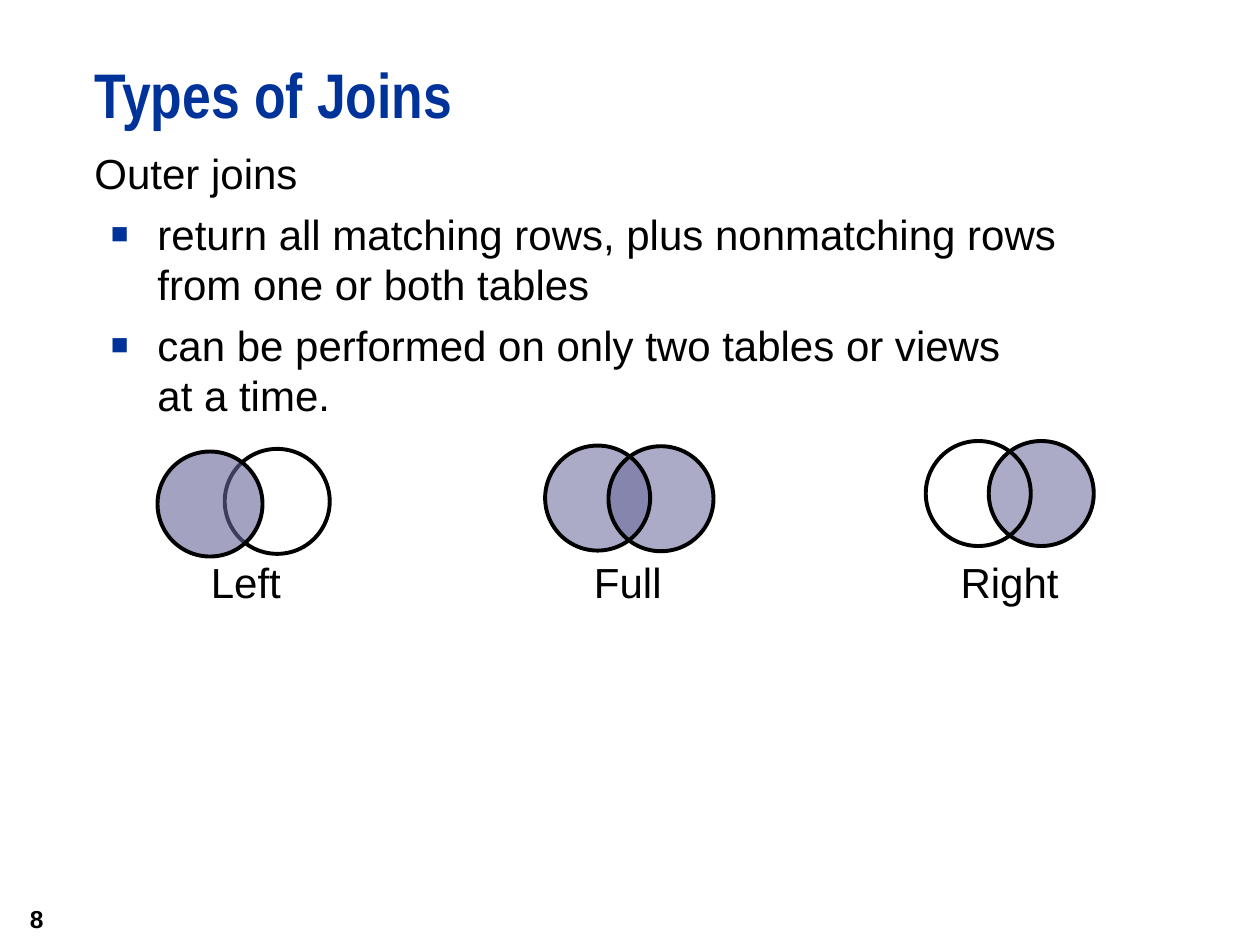
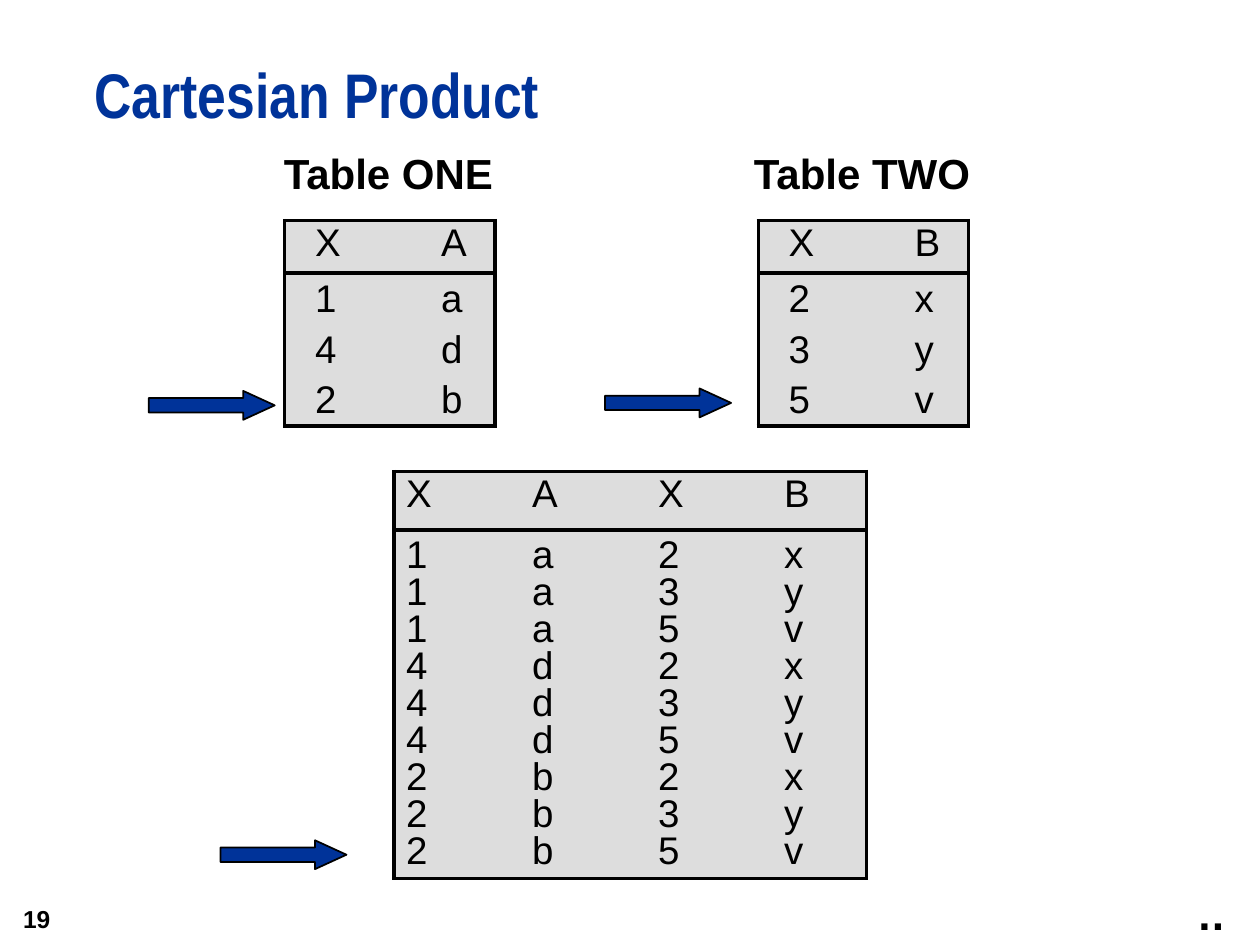
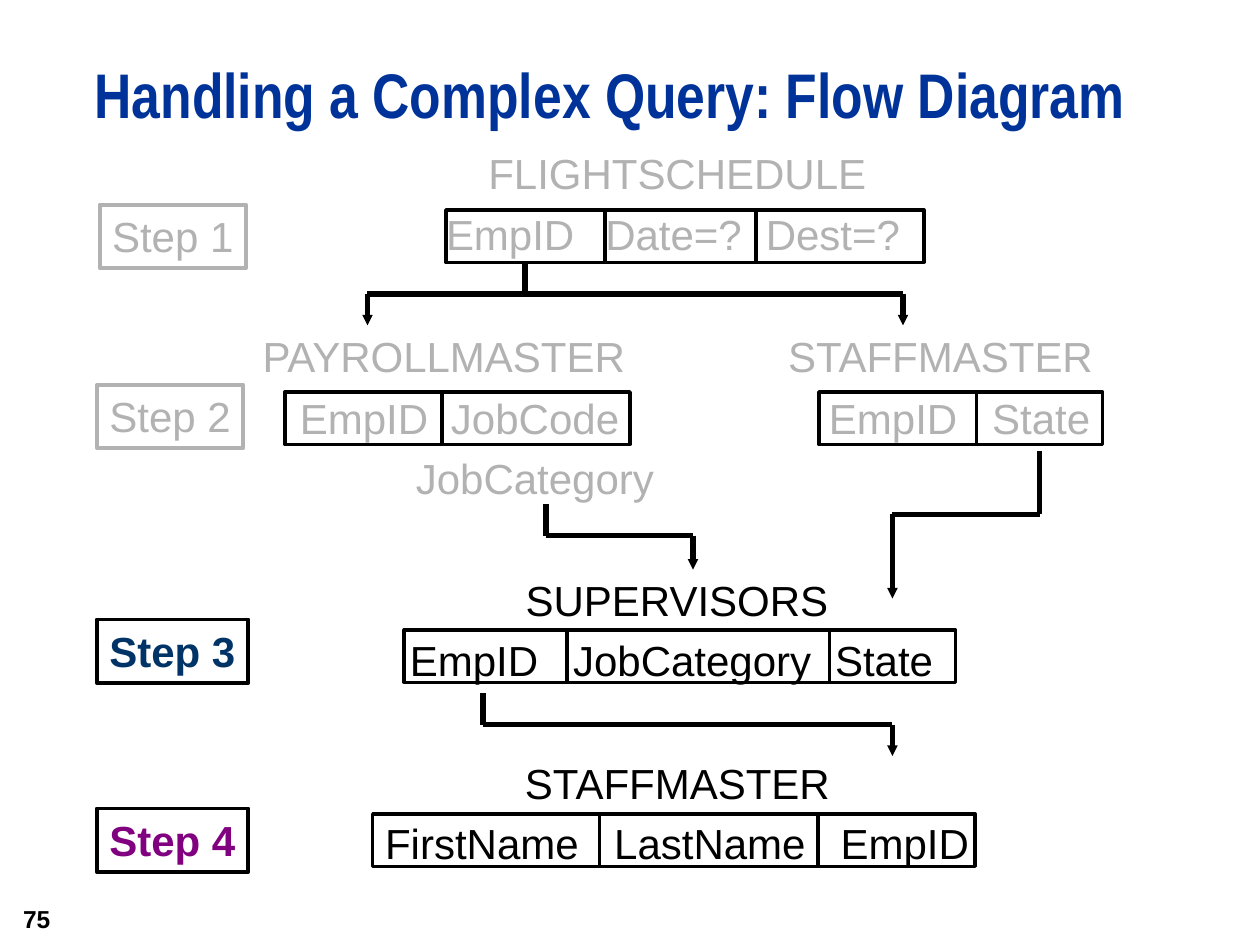
from dataclasses import dataclass
from itertools import accumulate, pairwise

from lxml.etree import SubElement
from pptx import Presentation
from pptx.dml.color import RGBColor
from pptx.enum.shapes import MSO_CONNECTOR, MSO_SHAPE
from pptx.enum.text import MSO_ANCHOR, PP_ALIGN
from pptx.oxml.ns import qn
from pptx.shapes.autoshape import Shape
from pptx.shapes.connector import Connector
from pptx.slide import Slide
from pptx.table import _Cell
from pptx.text.text import TextFrame, _Paragraph
from pptx.util import Pt


@dataclass(frozen=True)
class Theme:
    blue: str = "003399"
    black: str = "000000"
    white: str = "FFFFFF"
    muted: str = "B2B2B2"
    navy: str = "003366"
    purple: str = "800080"
    violet: str = "666699"
    panel: str = "DDDDDD"
    font: str = "Arial"
    title_font: str = "Arial Narrow"
    dots_font: str = "DejaVu Sans"
    title_size: float = 36
    body_size: float = 24
    table_size: float = 22
    dots_size: float = 20
    number_size: float = 14
    outline: float = 2.25
    field_outline: float = 2
    flow_outline: float = 3
    arrow_outline: float = 1


THEME = Theme()
LEFT = 54
BODY_TOP = 84.2
LINE_PITCH = 34.86
DISC_SIZE = 60
FIELD_HEIGHT = 30
HEADER_LIFT = 4
NO_INSETS = (0, 0, 0, 0)
BOX_INSETS = (7.2, 3.6, 7.2, 3.6)


@dataclass(frozen=True)
class Font:
    size: float = THEME.body_size
    color: str = THEME.black
    bold: bool = False
    name: str = THEME.font


@dataclass(frozen=True)
class Label:
    text: str
    x: float
    y: float
    font: Font = Font()


@dataclass(frozen=True)
class Disc:
    x: float
    y: float
    fill: str | None = None
    opacity: int = 100
    outlined: bool = True


@dataclass(frozen=True)
class Grid:
    x: float
    y: float
    rows: tuple[str, ...]
    last_width: float
    inset: float
    header_height: float
    row_height: float
    lead: float = 0
    trail: float = 0
    spacing: float = 1.0
    column_width: float = 72


@dataclass(frozen=True)
class Field:
    text: str
    width: float
    inset: float


@dataclass(frozen=True)
class Record:
    x: float
    y: float
    color: str
    fields: tuple[Field, ...]
    drop: float = 0
    lift: float = 0


@dataclass(frozen=True)
class Step:
    text: str
    x: float
    y: float
    width: float
    font: Font
    line: str


@dataclass(frozen=True)
class Flow:
    points: tuple[tuple[float, float], ...]
    arrow: bool = True


MUTED = Font(color=THEME.muted)
BOLD = Font(bold=True)
TABLE_FONT = Font(THEME.table_size)


def line_top(row: int) -> float:
    return BODY_TOP + LINE_PITCH * row


def style(p: _Paragraph, font: Font) -> None:
    for r in p.runs:
        r.font.size = Pt(font.size)
        r.font.name = font.name
        r.font.bold = font.bold
        r.font.color.rgb = RGBColor.from_string(font.color)


def set_text(tf: TextFrame, text: str, font: Font, insets=NO_INSETS, wrap: bool = True,
             anchor=MSO_ANCHOR.TOP, align=PP_ALIGN.LEFT) -> None:
    tf.text = text
    tf.word_wrap = wrap
    tf.vertical_anchor = anchor
    tf.margin_left, tf.margin_top, tf.margin_right, tf.margin_bottom = map(Pt, insets)
    for p in tf.paragraphs:
        p.alignment = align
        style(p, font)


def add_text(s: Slide, text: str, x: float, y: float, w: float, h: float, font: Font,
             **options) -> TextFrame:
    tf = s.shapes.add_textbox(Pt(x), Pt(y), Pt(w), Pt(h)).text_frame
    set_text(tf, text, font, **options)
    return tf


def add_label(s: Slide, label: Label) -> None:
    add_text(s, label.text, label.x, label.y, 240, 29, label.font)


def add_box(s: Slide, kind: MSO_SHAPE, x: float, y: float, w: float, h: float,
            fill: str | None, line: str | None = THEME.black,
            width: float = THEME.outline) -> Shape:
    sp = s.shapes.add_shape(kind, Pt(x), Pt(y), Pt(w), Pt(h))
    sp.shadow.inherit = False
    if fill:
        sp.fill.solid()
        sp.fill.fore_color.rgb = RGBColor.from_string(fill)
    else:
        sp.fill.background()
    if line:
        sp.line.color.rgb = RGBColor.from_string(line)
        sp.line.width = Pt(width)
    else:
        sp.line.fill.background()
    return sp


def add_line(s: Slide, start: tuple[float, float], end: tuple[float, float],
             width: float) -> Connector:
    line = s.shapes.add_connector(MSO_CONNECTOR.STRAIGHT, *map(Pt, start + end))
    line.line.color.rgb = RGBColor.from_string(THEME.black)
    line.line.width = Pt(width)
    SubElement(line._element.spPr, qn("a:effectLst"))
    return line


def add_disc(s: Slide, disc: Disc) -> None:
    sp = add_box(s, MSO_SHAPE.OVAL, disc.x, disc.y, DISC_SIZE, DISC_SIZE, disc.fill,
                 THEME.black if disc.outlined else None)
    if disc.opacity < 100:
        color = sp._element.spPr.find(qn("a:solidFill"))[0]
        SubElement(color, qn("a:alpha"), val=str(disc.opacity * 1000))


def add_bullet(p: _Paragraph) -> None:
    pPr = p._p.get_or_add_pPr()
    pPr.set("marL", str(Pt(36)))
    pPr.set("indent", str(Pt(-26.64)))
    SubElement(SubElement(pPr, qn("a:buClr")), qn("a:srgbClr"), val=THEME.blue)
    SubElement(pPr, qn("a:buSzPct"), val="70000")
    SubElement(pPr, qn("a:buFont"), typeface=THEME.font)
    SubElement(pPr, qn("a:buChar"), char="■")


def set_borders(cell: _Cell, sides: dict[str, bool]) -> None:
    tcPr = cell._tc.get_or_add_tcPr()
    for side, shown in sides.items():
        ln = SubElement(tcPr, qn(f"a:ln{side}"), w=str(Pt(THEME.outline)))
        if shown:
            SubElement(SubElement(ln, qn("a:solidFill")), qn("a:srgbClr"), val=THEME.black)
        else:
            SubElement(ln, qn("a:noFill"))


def add_grid(s: Slide, grid: Grid) -> None:
    rows = [row.split() for row in grid.rows]
    last_row, last_col = len(rows) - 1, len(rows[0]) - 1
    widths = [grid.column_width] * last_col + [grid.last_width]
    heights = [grid.header_height] + [grid.row_height] * last_row
    heights[1] += grid.lead
    heights[-1] += grid.trail
    table = s.shapes.add_table(len(rows), len(widths), Pt(grid.x), Pt(grid.y),
                               Pt(sum(widths)), Pt(sum(heights))).table
    table.first_row = table.horz_banding = False
    for column, width in zip(table.columns, widths):
        column.width = Pt(width)
    tops = {1: grid.lead}
    bottoms = {0: HEADER_LIFT, last_row: grid.trail}
    for i, row in enumerate(rows):
        table.rows[i].height = Pt(heights[i])
        for j, value in enumerate(row):
            cell = table.cell(i, j)
            set_borders(cell, {"L": j == 0, "R": j == last_col,
                               "T": i == 0, "B": i == last_row})
            cell.fill.solid()
            cell.fill.fore_color.rgb = RGBColor.from_string(THEME.panel)
            cell.vertical_anchor = MSO_ANCHOR.MIDDLE
            cell.margin_left = Pt(grid.inset)
            cell.margin_right = 0
            cell.margin_top = Pt(tops.get(i, 0))
            cell.margin_bottom = Pt(bottoms.get(i, 0))
            p = cell.text_frame.paragraphs[0]
            p.text = value
            p.line_spacing = grid.spacing
            style(p, TABLE_FONT)
    rule = grid.y + grid.header_height
    add_line(s, (grid.x, rule), (grid.x + sum(widths), rule), THEME.outline)


def add_pointer(s: Slide, x: float, y: float) -> None:
    sp = add_box(s, MSO_SHAPE.RIGHT_ARROW, x, y, 72, 16.5, THEME.blue,
                 width=THEME.arrow_outline)
    sp.adjustments[1] = 1.09


def add_record(s: Slide, record: Record) -> None:
    lefts = accumulate((f.width for f in record.fields), initial=record.x)
    for x, field in zip(lefts, record.fields):
        sp = add_box(s, MSO_SHAPE.RECTANGLE, x, record.y, field.width, FIELD_HEIGHT,
                     THEME.white, width=THEME.field_outline)
        set_text(sp.text_frame, field.text, Font(color=record.color),
                 insets=(field.inset, record.drop, 0, record.lift),
                 anchor=MSO_ANCHOR.MIDDLE)


def add_step(s: Slide, step: Step) -> None:
    sp = add_box(s, MSO_SHAPE.RECTANGLE, step.x, step.y, step.width, 36.3,
                 THEME.white, step.line)
    set_text(sp.text_frame, step.text, step.font, insets=BOX_INSETS, wrap=False)


def add_flow(s: Slide, flow: Flow) -> None:
    for start, end in pairwise(flow.points):
        line = add_line(s, start, end, THEME.flow_outline)
        if flow.arrow and end == flow.points[-1]:
            ln = line._element.spPr.find(qn("a:ln"))
            SubElement(ln, qn("a:tailEnd"), type="triangle", w="sm", len="sm")


def new_slide(prs, title: str, number: int) -> Slide:
    s = prs.slides.add_slide(prs.slide_layouts[6])
    tf = add_text(s, title, LEFT, 36, 666, 54,
                  Font(THEME.title_size, THEME.blue, True, THEME.title_font))
    tf.paragraphs[0].line_spacing = Pt(39)
    add_text(s, str(number), 0, 510, 42, 30, Font(THEME.number_size, bold=True),
             insets=BOX_INSETS, anchor=MSO_ANCHOR.MIDDLE, align=PP_ALIGN.CENTER)
    return s


def build_joins(prs) -> None:
    s = new_slide(prs, "Types of Joins", 8)
    tf = add_text(s, "Outer joins", LEFT, BODY_TOP, 618, 336, Font())
    tf.paragraphs[0].space_before = Pt(6)
    for text in ("return all matching rows, plus nonmatching rows\vfrom one or both tables",
                 "can be performed on only two tables or views\vat a time."):
        p = tf.add_paragraph()
        p.text = text
        p.space_before = Pt(6)
        style(p, Font())
        add_bullet(p)
    for disc in (
        Disc(128.4, 256.5, THEME.white),
        Disc(90, 258, THEME.violet, 60, False),
        Disc(90, 258),
        Disc(311.5, 254.6, THEME.violet, 55, False),
        Disc(347.7, 255, THEME.violet, 55),
        Disc(311.5, 254.6),
        Disc(529, 252, THEME.white, outlined=False),
        Disc(565, 252, THEME.violet, 55),
        Disc(529, 252),
    ):
        add_disc(s, disc)
    for text, x in (("Left", 120.5), ("Full", 339.4), ("Right", 548.9)):
        add_label(s, Label(text, x, 318.2))


def build_product(prs) -> None:
    s = new_slide(prs, "Cartesian Product", 19)
    one = ("1 a", "4 d", "2 b")
    two = ("2 x", "3 y", "5 v")
    product = tuple(f"{a} {b}" for a in one for b in two)
    for x, rows in ((162.7, ("X A", *one)), (433.4, ("X B", *two))):
        add_grid(s, Grid(x, 126, rows, 48.2, 17.3, 30.2, 29))
    add_grid(s, Grid(225.2, 269.5, ("X A X B", *product), 54, 6.9, 33.6, 21.15,
                     lead=5.5, trail=3, spacing=0.8))
    for text, x in (("Table ONE", 162.2), ("Table TWO", 430.8)):
        add_label(s, Label(text, x, BODY_TOP, BOLD))
    for x, y in ((85, 223.4), (345.8, 222), (126, 480.2)):
        add_pointer(s, x, y)
    add_text(s, "...", 677.5, 508.3, 31.7, 31.7,
             Font(THEME.dots_size, bold=True, name=THEME.dots_font),
             insets=BOX_INSETS, wrap=False)


def build_flow(prs) -> None:
    s = new_slide(prs, "Handling a Complex Query: Flow Diagram", 75)
    for record in (
        Record(254.9, 120, THEME.muted,
               (Field("EmpID", 91, 0), Field("Date=?", 86, 0), Field("Dest=?", 96, 5.7)),
               lift=3),
        Record(162.7, 224, THEME.muted,
               (Field("EmpID", 90, 8.6), Field("JobCode", 107.3, 5)), lift=1),
        Record(468, 224, THEME.muted,
               (Field("EmpID", 90, 5.7), Field("State", 72, 9)), lift=1),
        Record(231, 360, THEME.black,
               (Field("EmpID", 93, 3.2), Field("JobCategory", 150, 3.5),
                Field("State", 72, 3.2)), drop=4),
        Record(213, 465.1, THEME.black,
               (Field("FirstName", 129.7, 7.2), Field("LastName", 124.6, 8.3),
                Field("EmpID", 90, 13)), drop=3),
    ):
        add_record(s, record)
    for flow in (
        Flow(((300, 150), (300, 168)), arrow=False),
        Flow(((516, 168), (210, 168), (210, 186))),
        Flow(((516, 168), (516, 186))),
        Flow(((312, 288), (312, 306), (396, 306), (396, 325.5))),
        Flow(((594, 258), (594, 294), (510, 294), (510, 342))),
        Flow(((276, 396), (276, 414), (510, 414), (510, 432))),
    ):
        add_flow(s, flow)
    for step in (
        Step("Step 1", 57, 116.9, 83.5, MUTED, THEME.muted),
        Step("Step 2", 55.5, 219.8, 83.5, MUTED, THEME.muted),
        Step("Step 3", 55.4, 354, 86.5, Font(color=THEME.navy, bold=True), THEME.black),
        Step("Step 4", 55.4, 462, 86.5, Font(color=THEME.purple, bold=True), THEME.black),
    ):
        add_step(s, step)
    for label in (
        Label("FLIGHTSCHEDULE", 279, line_top(0), MUTED),
        Label("PAYROLLMASTER", 150, line_top(3), MUTED),
        Label("STAFFMASTER", 450.3, line_top(3), MUTED),
        Label("JobCategory", 237.6, line_top(5), MUTED),
        Label("SUPERVISORS", 300.4, line_top(7)),
        Label("STAFFMASTER", 300, line_top(10)),
    ):
        add_label(s, label)


def main() -> None:
    prs = Presentation()
    prs.slide_width, prs.slide_height = Pt(720), Pt(540)
    build_joins(prs)
    build_product(prs)
    build_flow(prs)
    prs.save("out.pptx")


if __name__ == "__main__":
    main()
